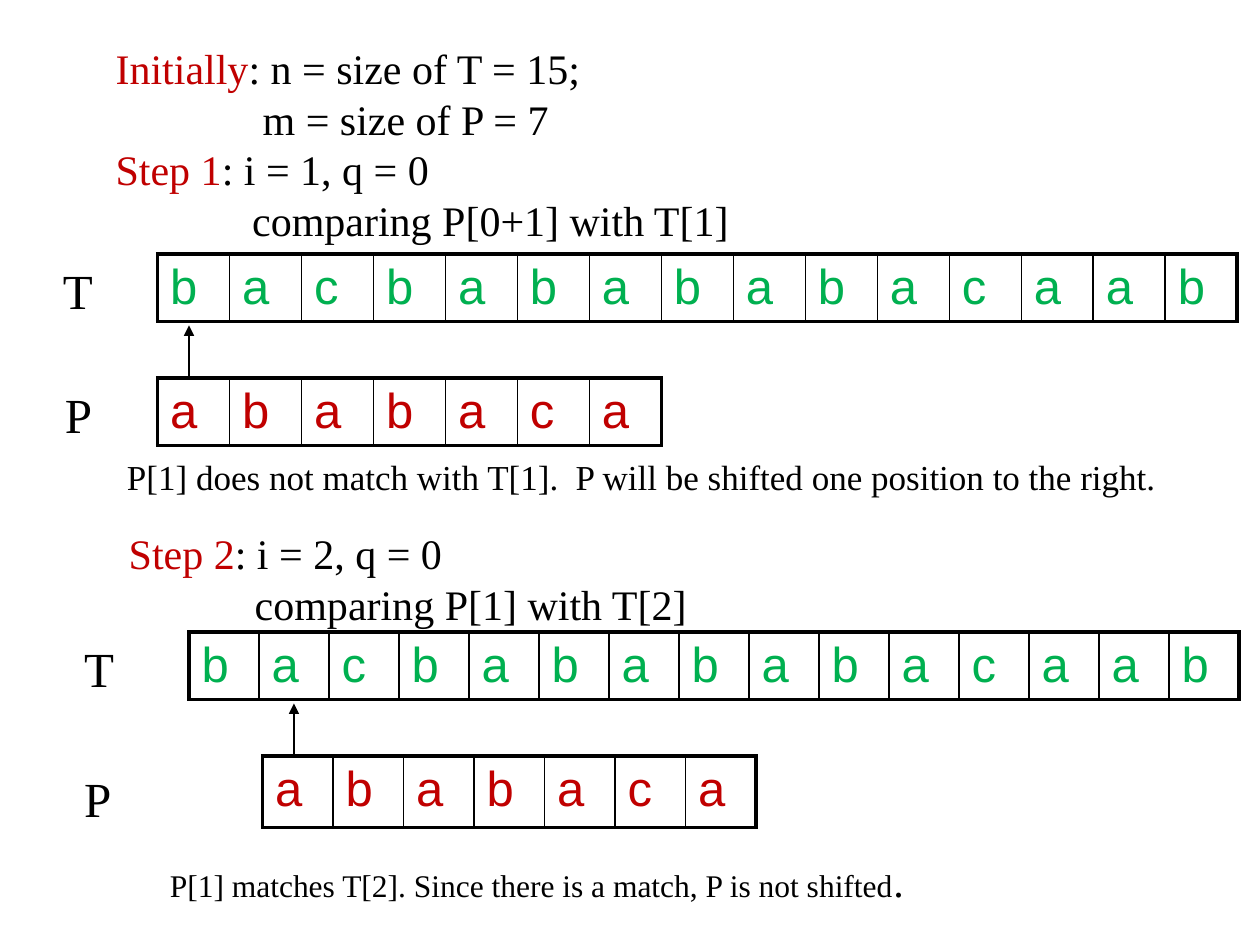
from lxml import etree
from pptx import Presentation
from pptx.dml.color import RGBColor
from pptx.enum import shapes, text
from pptx.oxml import ns
from pptx.util import Pt

BLACK = RGBColor(0, 0, 0)
GREEN = RGBColor(0, 0xB0, 0x50)
RED = RGBColor(0xC0, 0, 0)

deck = Presentation()
deck.slide_width, deck.slide_height = Pt(720), Pt(540)
slide = deck.slides.add_slide(deck.slide_layouts[6])


def style(run, name, size, color):
    for key, val in {"name": name, "size": Pt(size)}.items():
        setattr(run.font, key, val)
    run.font.color.rgb = color


def border(props, side, width, spot):
    line = etree.Element(ns.qn("a:ln" + side), w=str(Pt(width)))
    fill = etree.SubElement(line, ns.qn("a:solidFill"))
    etree.SubElement(fill, ns.qn("a:srgbClr"), val=str(BLACK))
    props.insert(spot, line)


TEXT = "bacbabababacaab"
PATTERN = "ababaca"
rows = [
    (TEXT, 90, 145.2, 41.14, 38, GREEN),
    (TEXT, 108, 361.2, 40, 38, GREEN),
    (PATTERN, 90, 216, 41.14, 38, RED),
    (PATTERN, 150, 432, 40.3, 41, RED),
]
for word, left, top, step, high, color in rows:
    size = len(word)
    frame = slide.shapes.add_table(
        1, size, Pt(left), Pt(top), Pt(step * size), Pt(high))
    grid = frame.table
    grid.first_row = grid.horz_banding = False
    for col, char in enumerate(word):
        grid.columns[col].width = Pt(step)
        cell = grid.cell(0, col)
        cell.fill.background()
        run = cell.text_frame.paragraphs[0].add_run()
        run.text = char
        style(run, "Arial", 28, color)
        edges = {
            "L": 2.25 if col == 0 else 1,
            "R": 2.25 if col == size - 1 else 1,
            "T": 2.25,
            "B": 2.25,
        }
        for spot, (side, width) in enumerate(edges.items()):
            border(cell._tc.get_or_add_tcPr(), side, width, spot)

notes = [
    (59, 21, 641.5, 124, True, [
        (0, [("Initially", 24, RED), (": n = size of T = 15;", 24, BLACK)]),
        (84, [("m = size of P = 7", 24, BLACK)]),
        (0, [("Step 1", 24, RED), (": i = 1, q = 0", 24, BLACK)]),
        (78, [("comparing P[0+1] with T[1]", 24, BLACK)]),
    ]),
    (65.5, 257, 628, 75, True, [
        (0, [("P[1] does not match with T[1].  P will be shifted one "
              "position to the right.", 20, BLACK)]),
    ]),
    (66.5, 298, 509, 65.5, True, [
        (0, [("Step 2", 24, RED), (": i = 2, q = 0", 24, BLACK)]),
        (72, [("comparing P[1] with T[2]", 24, BLACK)]),
    ]),
    (90, 485.5, 437, 36, False, [
        (0, [("P[1] matches T[2]. Since there is a match, "
              "P is not shifted", 18, BLACK), (".", 24, BLACK)]),
    ]),
]
for tag, left, top, wide in [
    ("T", 28.8, 145.2, 31.6), ("P", 30, 216, 30.2),
    ("T", 41, 361.2, 31.6), ("P", 41, 435.6, 30.2),
]:
    notes.append((left, top, wide, 41, False, [(0, [(tag, 28, BLACK)])]))

for left, top, wide, high, wrap, lines in notes:
    box = slide.shapes.add_textbox(Pt(left), Pt(top), Pt(wide), Pt(high))
    frame = box.text_frame
    look = {"word_wrap": wrap,
            "auto_size": text.MSO_AUTO_SIZE.SHAPE_TO_FIT_TEXT}
    for key, val in look.items():
        setattr(frame, key, val)
    for num, (indent, runs) in enumerate(lines):
        para = frame.add_paragraph() if num else frame.paragraphs[0]
        if indent:
            para._p.get_or_add_pPr().set("marL", str(Pt(indent)))
        for part, size, color in runs:
            run = para.add_run()
            run.text = part
            style(run, "Times New Roman", size, color)

for left, low in [(108, 216), (168, 432)]:
    arrow = slide.shapes.add_connector(
        shapes.MSO_CONNECTOR.STRAIGHT,
        Pt(left), Pt(low), Pt(left), Pt(low - 30))
    arrow.line.color.rgb = BLACK
    arrow.line.width = Pt(0.75)
    etree.SubElement(arrow.line._get_or_add_ln(), ns.qn("a:tailEnd"),
                     type="triangle")
    etree.SubElement(arrow._element.spPr, ns.qn("a:effectLst"))

deck.save("out.pptx")
